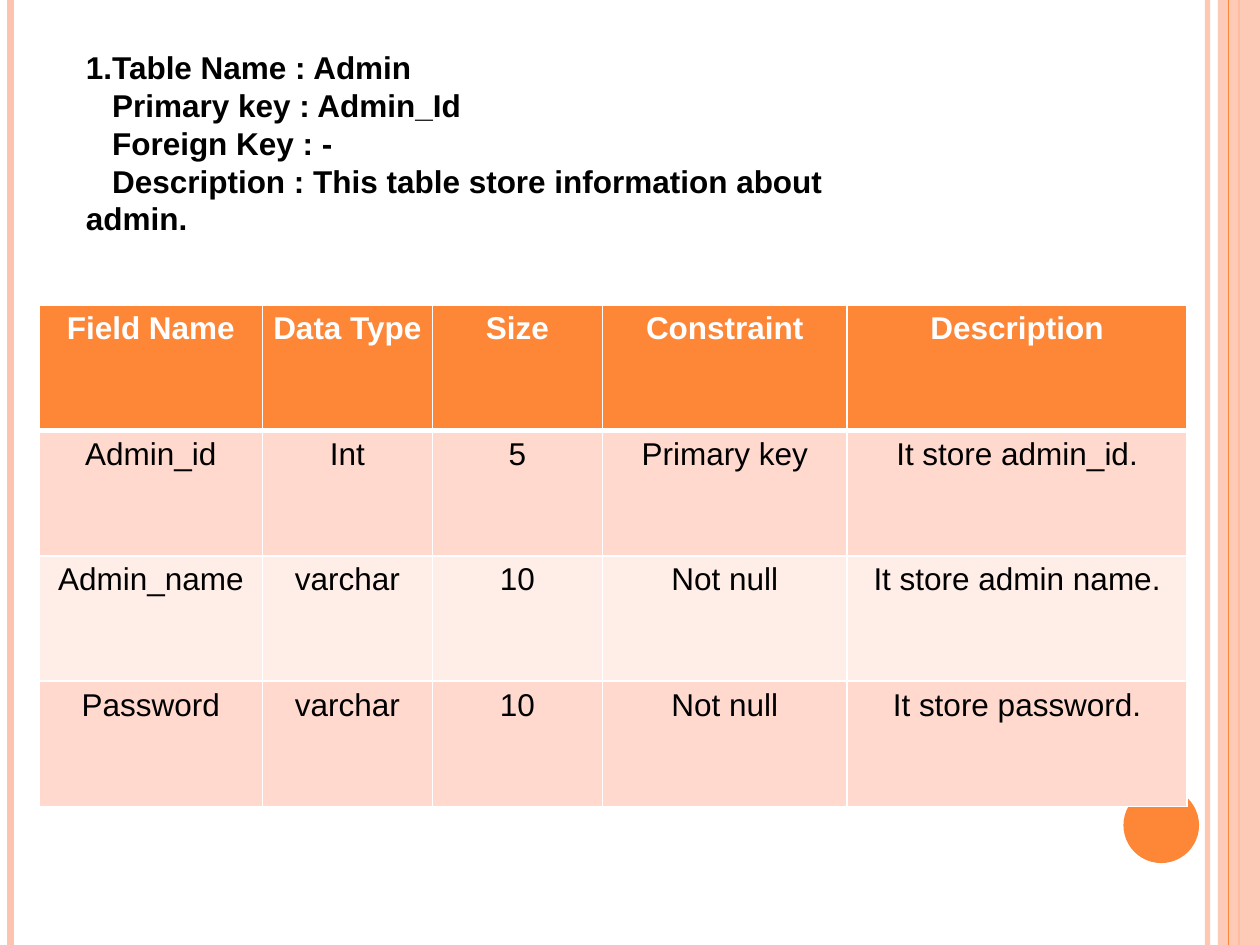
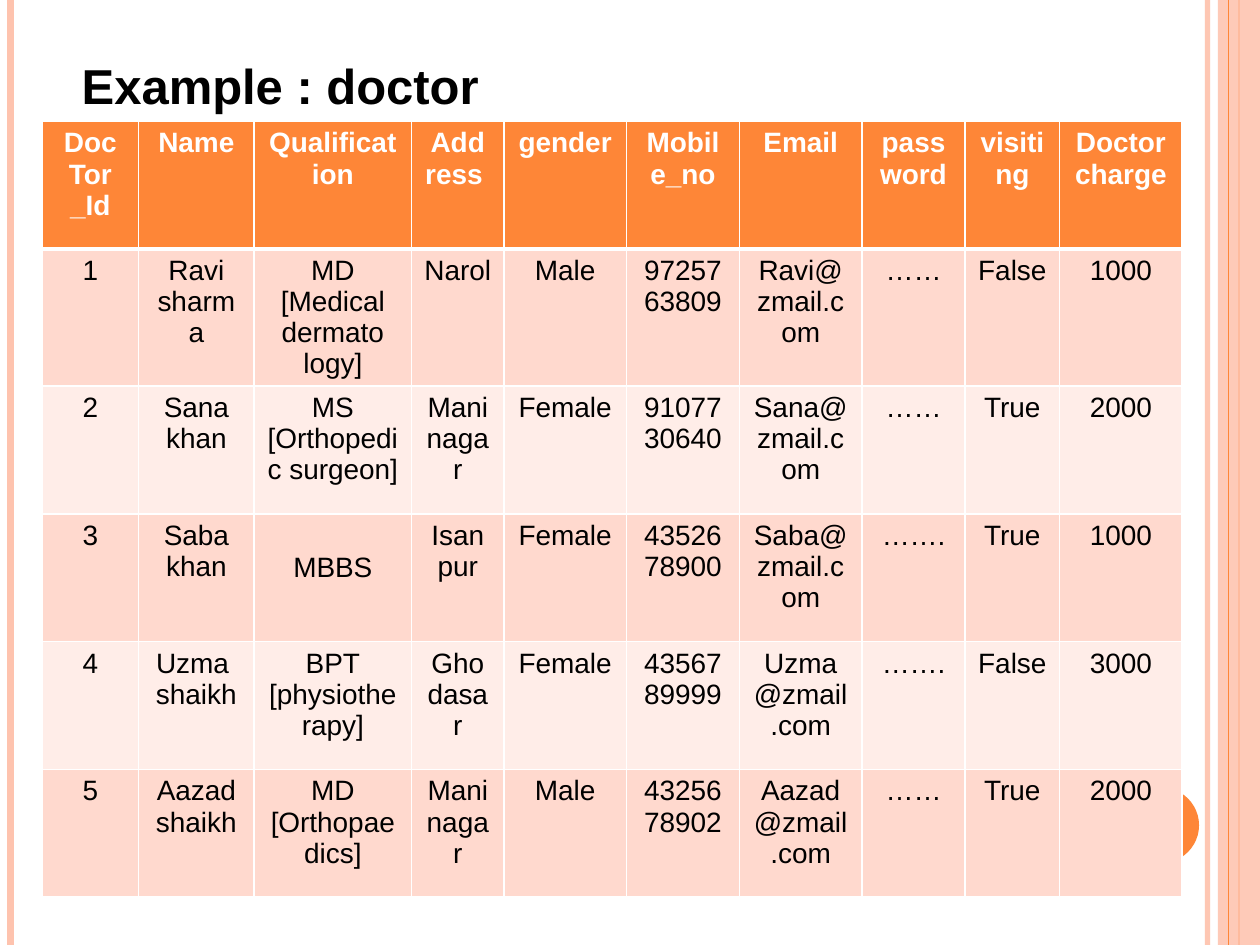
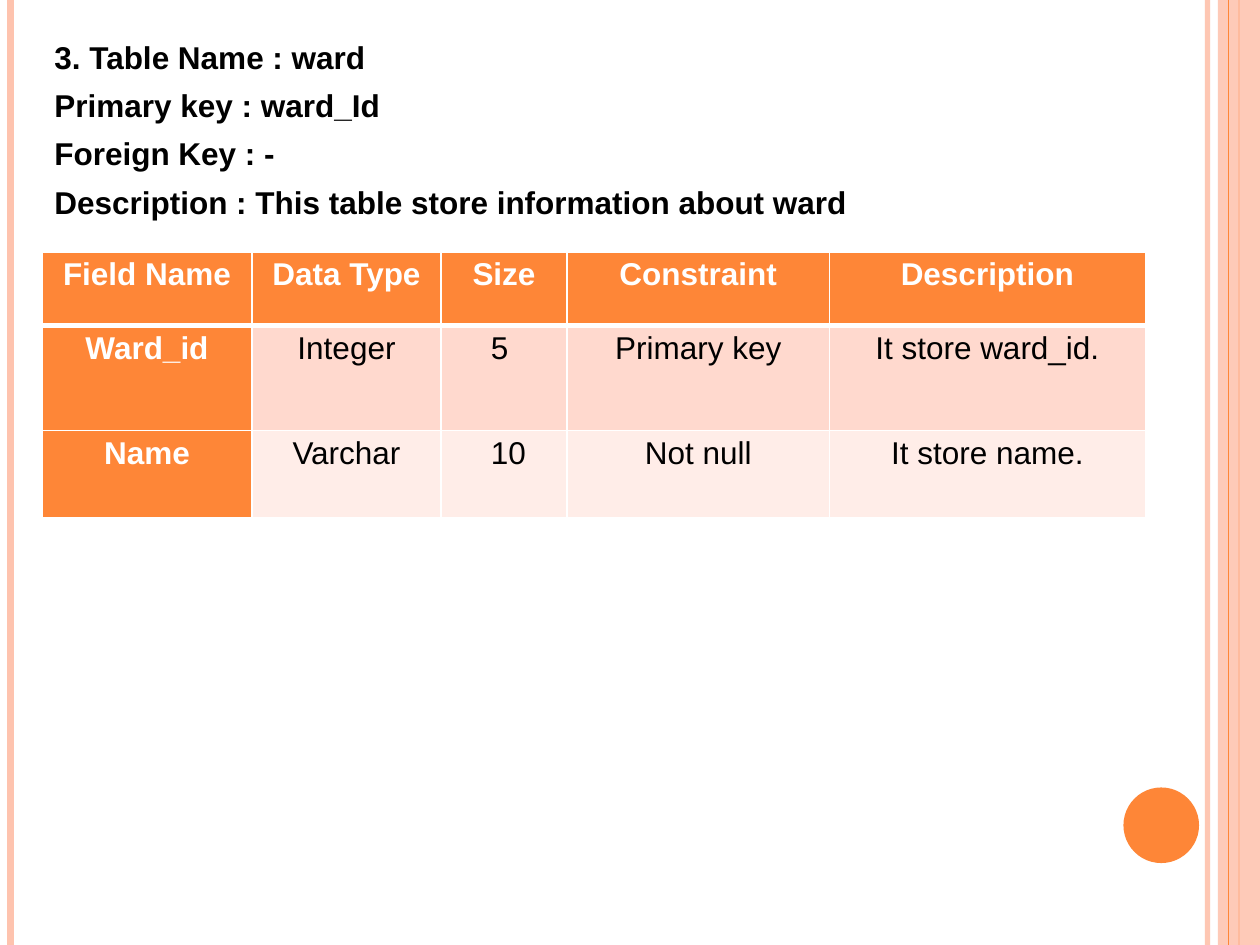
from lxml.etree import SubElement as Sub
from pptx import Presentation
from pptx.dml.color import RGBColor as Rgb
from pptx.enum.shapes import MSO_CONNECTOR as Conn, MSO_SHAPE as Kind
from pptx.enum.text import PP_ALIGN as Align
from pptx.oxml.ns import qn
from pptx.util import Pt

# Colours and shared formats
ORANGE = Rgb(0xFE, 0x86, 0x37)
PEACH = Rgb(0xFE, 0xC3, 0xAE)
DARK = Rgb(0xFF, 0xD9, 0xCE)
LIGHT = Rgb(0xFF, 0xED, 0xE8)
WHITE = Rgb(0xFF, 0xFF, 0xFF)
BLACK = Rgb(0, 0, 0)
WIDE, HIGH = 720, 540
HEAD = {"name": "Arial", "bold": True}
BODY = {"name": "Arial", "bold": False}
LOOSE = {"alignment": Align.CENTER, "line_spacing": 1.15}
TIGHT = {"alignment": Align.CENTER}

# Table contents
FIELDS = ["Field Name", "Data Type", "Size", "Constraint", "Description"]
ADMIN = [
    FIELDS,
    ["Admin_id", "Int", "5", "Primary key", "It store admin_id."],
    ["Admin_name", "varchar", "10", "Not null", "It store admin name."],
    ["Password", "varchar", "10", "Not null", "It store password."],
]
DOCTOR = [
    ["Doc\nTor\n_Id", "Name", "Qualification", "Add\nress ", "gender",
     "Mobile_no", "Email", "password", "visiting", "Doctorcharge"],
    ["1", "Ravi\nsharma", "MD\n[Medical dermato\nlogy]", "Narol", "Male",
     "9725763809", "Ravi@zmail.com", "……", "False", "1000"],
    ["2", "Sana khan", "MS\n[Orthopedic surgeon]", "Maninagar", "Female",
     "9107730640", "Sana@zmail.com", "……", "True", "2000"],
    ["3", "Saba\nkhan", "MBBS", "Isanpur", "Female",
     "4352678900", "Saba@zmail.com", "…….", "True", "1000"],
    ["4", "Uzma \nshaikh", "BPT\n[physiotherapy]", "Ghodasar", "Female",
     "4356789999", "Uzma@zmail.com", "…….", "False", "3000"],
    ["5", "Aazad\nshaikh", "MD\n[Orthopaedics]", "Maninagar", "Male",
     "4325678902", "Aazad@zmail.com", "……", "True", "2000"],
]
WARD = [
    FIELDS,
    ["Ward_id", "Integer", "5 ", "Primary key", "It store ward_id."],
    ["Name", "Varchar", " 10", "Not null", "It store name."],
]


def apply(item, form):
    for key, val in form.items():
        setattr(item, key, val)


def fade(shape, pct):
    """Set the opacity of the shape's first solid colour."""
    tone = next(shape._element.spPr.iter(qn("a:srgbClr")))
    Sub(tone, qn("a:alpha"), val=str(pct * 1000))


def write(frame, text, size, color, font, para):
    frame.text = text
    for par in frame.paragraphs:
        apply(par, para)
        for run in par.runs:
            apply(run.font, {**font, "size": Pt(size)})
            run.font.color.rgb = color


def rule(slide, x, color, width):
    line = slide.shapes.add_connector(Conn.STRAIGHT, Pt(x), 0, Pt(x), Pt(HIGH))
    line.line.color.rgb = color
    line.line.width = Pt(width)
    Sub(line._element.spPr, qn("a:effectLst"))
    return line


def solid(slide, kind, x, y, w, h, color):
    shape = slide.shapes.add_shape(kind, Pt(x), Pt(y), Pt(w), Pt(h))
    shape.shadow.inherit = False
    shape.fill.solid()
    shape.fill.fore_color.rgb = color
    shape.line.fill.background()
    return shape


def start(deck):
    """Add a slide with the side bands and the corner disc."""
    slide = deck.slides.add_slide(deck.slide_layouts[6])
    fade(rule(slide, 690, PEACH, 3), 93)
    rule(slide, 6, PEACH, 4.5)
    rule(slide, 708, ORANGE, 1.5)
    fade(solid(slide, Kind.RECTANGLE, 696, 0, WIDE - 696, HIGH, PEACH), 87)
    rule(slide, 702, ORANGE, 0.75)
    solid(slide, Kind.OVAL, 642, 450, 43.2, 43.2, ORANGE)
    return slide


def label(slide, x, y, w, h, text, size=18, para={}):
    box = slide.shapes.add_textbox(Pt(x), Pt(y), Pt(w), Pt(h))
    box.text_frame.word_wrap = True
    write(box.text_frame, text, size, BLACK, HEAD, para)
    return box.text_frame.paragraphs


def edge(cell, row):
    """Draw white borders, thick under the header row."""
    thick = {"T": row == 1, "B": row == 0}
    props = cell._tc.get_or_add_tcPr()
    for side in "LRTB":
        width = Pt(3 if thick.get(side) else 1)
        line = Sub(props, qn("a:ln" + side), w=str(width))
        Sub(Sub(line, qn("a:solidFill")), qn("a:srgbClr"), val=str(WHITE))


def table(slide, x, y, cols, rows, data, size=18, pad=None, body=TIGHT, side=False):
    """Pad gives the header's side margin; it also serves loose body rows."""
    grid = slide.shapes.add_table(len(rows), len(cols), Pt(x), Pt(y),
                                  Pt(sum(cols)), Pt(sum(rows))).table
    apply(grid, {"first_row": False, "horz_banding": False})
    for col, width in zip(grid.columns, cols):
        col.width = Pt(width)
    for row, height in zip(grid.rows, rows):
        row.height = Pt(height)
    for r, line in enumerate(data):
        for c, text in enumerate(line):
            cell = grid.cell(r, c)
            head = r == 0 or (side and c == 0)
            para = LOOSE if pad and r == 0 else body
            if para is LOOSE:
                apply(cell, {"margin_left": Pt(pad), "margin_right": Pt(pad),
                             "margin_top": 0, "margin_bottom": 0})
            edge(cell, r)
            cell.fill.solid()
            cell.fill.fore_color.rgb = ORANGE if head else DARK if r % 2 else LIGHT
            write(cell.text_frame, text, size, WHITE if head else BLACK,
                  HEAD if head else BODY, para)
    return grid


def main():
    deck = Presentation()
    apply(deck, {"slide_width": Pt(WIDE), "slide_height": Pt(HIGH)})

    # Admin table
    slide = start(deck)
    table(slide, 22.5, 174.5, [127.4, 97.2, 97.2, 139.7, 194.4], [71.6] * 4,
          ADMIN, pad=5)
    lines = label(slide, 42, 24, 498, 116.6,
                  "1.Table Name : Admin\nPrimary key : Admin_Id\nForeign Key : -\n"
                  "Description : This table store information about admin.")
    for par in lines[1:]:
        par._p.get_or_add_pPr().set("indent", str(Pt(15)))

    # Doctor records
    slide = start(deck)
    grid = table(slide, 24, 69.4,
                 [55.2, 66, 90, 52.8, 70, 64.6, 70, 59, 54, 70], [73] * 6,
                 DOCTOR, size=16)
    grid.cell(3, 2).margin_top = Pt(22)
    label(slide, 39.6, 28, 400, 41, "Example : doctor", size=28)

    # Ward table
    slide = start(deck)
    label(slide, 24, 18, 660, 455,
          "3. Table Name : ward\nPrimary key : ward_Id\nForeign Key : -\n"
          "Description : This table store information about ward",
          para={"space_before": Pt(6)})
    table(slide, 24, 144, [120, 108, 72, 150, 180.5], [42, 60, 50], WARD,
          pad=5.8, body=LOOSE, side=True)

    deck.save("out.pptx")


if __name__ == "__main__":
    main()
